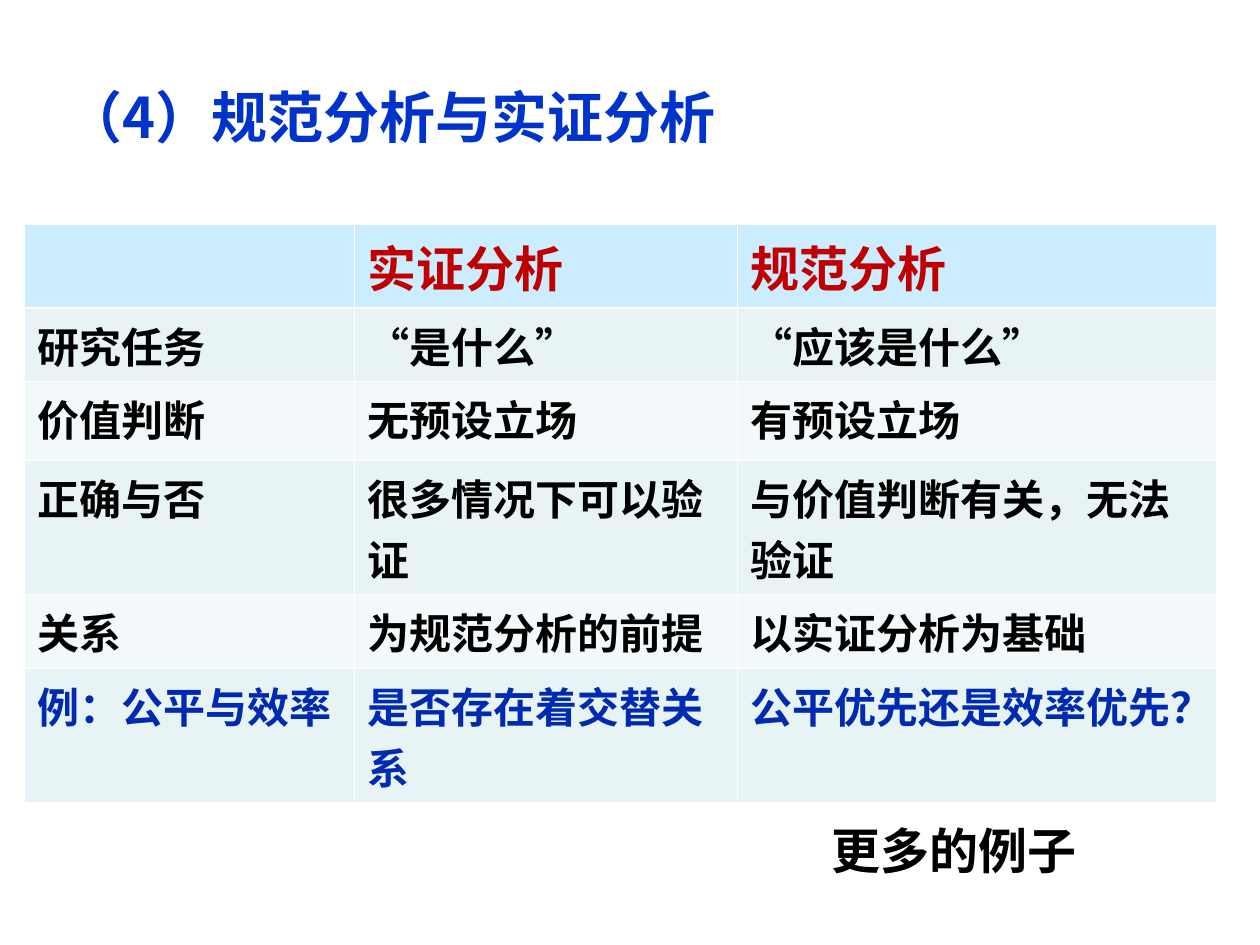
from dataclasses import dataclass

from lxml import etree
from pptx import Presentation
from pptx import util as u
from pptx.dml.color import RGBColor
from pptx.enum import lang, shapes, text
from pptx.oxml.ns import qn


@dataclass(frozen=True)
class Theme:
    latin: str = "Arial"
    chinese: str = "Noto Sans CJK SC"
    title: str = "0033CC"
    heading: str = "C00000"
    body: str = "000000"
    example: str = "002AAF"
    white: str = "FFFFFF"
    header_fill: str = "CCECFF"
    bands: tuple = ("E7F3F4", "F3F9FA")
    title_size: int = 32
    heading_size: int = 28
    body_size: int = 24
    thin: float = 0.45
    thick: float = 1.47


class SlideBuilder:
    def __init__(self, slide, theme):
        self.slide = slide
        self.theme = theme

    def add_text(self, frame, wording, size, color, font):
        para = frame.paragraphs[0]
        para.alignment = text.PP_ALIGN.LEFT
        span = para.add_run()
        span.text = wording
        values = {"size": u.Pt(size), "bold": True, "name": font,
                  "language_id": lang.MSO_LANGUAGE_ID.SIMPLIFIED_CHINESE}
        for name, value in values.items():
            setattr(span.font, name, value)
        span.font.color.rgb = RGBColor.from_string(color)
        east_asian = etree.SubElement(span.font._element, qn("a:ea"))
        east_asian.set("typeface", self.theme.chinese)
        return para

    def title(self, wording, left, top, width, height):
        box = self.slide.shapes.title
        values = {"left": left, "top": top, "width": width, "height": height}
        for name, value in values.items():
            setattr(box, name, u.Cm(value))
        box.text_frame.vertical_anchor = text.MSO_ANCHOR.MIDDLE
        box.text_frame.auto_size = text.MSO_AUTO_SIZE.NONE
        self.add_text(box.text_frame, wording, self.theme.title_size,
                      self.theme.title, self.theme.chinese)

    def borders(self, cell, widths):
        properties = cell._tc.get_or_add_tcPr()
        for index, (side, width) in enumerate(widths.items()):
            line = etree.Element(qn(f"a:ln{side}"), w=str(u.Pt(width)))
            fill = etree.SubElement(line, qn("a:solidFill"))
            etree.SubElement(fill, qn("a:srgbClr"), val=self.theme.white)
            properties.insert(index, line)

    def table(self, rows, left, top, widths, heights):
        theme = self.theme
        table = self.slide.shapes.add_table(
            len(rows), len(widths), u.Cm(left), u.Cm(top),
            u.Cm(sum(widths)), u.Cm(sum(heights))).table
        for column, width in zip(table.columns, widths):
            column.width = u.Cm(width)
        for row, height in zip(table.rows, heights):
            row.height = u.Cm(height)

        last = len(rows) - 1
        for r, row in enumerate(rows):
            fill = theme.bands[(r - 1) % 2] if r else theme.header_fill
            size = theme.body_size if r else theme.heading_size
            color = {0: theme.heading, last: theme.example}.get(r, theme.body)
            edges = {"L": theme.thin, "R": theme.thin,
                     "T": theme.thick if r == 1 else theme.thin,
                     "B": theme.thick if r == 0 else theme.thin}
            for c, wording in enumerate(row):
                cell = table.cell(r, c)
                cell.fill.solid()
                cell.fill.fore_color.rgb = RGBColor.from_string(fill)
                self.borders(cell, edges)
                if wording:
                    self.add_text(cell.text_frame, wording, size, color, theme.latin)

    def label(self, wording, left, top, width, height):
        box = self.slide.shapes.add_shape(
            shapes.MSO_SHAPE.RECTANGLE, *map(u.Cm, (left, top, width, height)))
        box.shadow.inherit = False
        box.fill.solid()
        box.fill.fore_color.rgb = RGBColor.from_string(self.theme.white)
        box.line.fill.background()
        frame = box.text_frame
        frame.word_wrap = True
        frame.vertical_anchor = text.MSO_ANCHOR.TOP
        para = self.add_text(frame, wording, self.theme.heading_size,
                             self.theme.body, self.theme.chinese)
        para.line_spacing = 0.9


def main():
    deck = Presentation()
    deck.slide_width, deck.slide_height = u.Cm(25.4), u.Cm(19.05)
    page = SlideBuilder(deck.slides.add_slide(deck.slide_layouts[5]), Theme())

    # Heading
    page.title("（4）规范分析与实证分析", 1.09, 1.52, 18, 1.63)

    # Comparison of the two kinds of analysis
    rows = [
        ("", "实证分析", "规范分析"),
        ("研究任务", "“是什么”", "“应该是什么”"),
        ("价值判断", "无预设立场", "有预设立场"),
        ("正确与否", "很多情况下可以验证", "与价值判断有关，无法验证"),
        ("关系", "为规范分析的前提", "以实证分析为基础"),
        ("例：公平与效率", "是否存在着交替关系", "公平优先还是效率优先？"),
    ]
    page.table(rows, 0.5, 4.53, widths=(6.65, 7.72, 9.64),
               heights=(1.5, 1.48, 1.58, 2.29, 1.48, 2.29))

    # Pointer to further examples
    page.label("更多的例子", 16.51, 16.54, 8.2, 1.8)

    deck.save("out.pptx")


if __name__ == "__main__":
    main()
